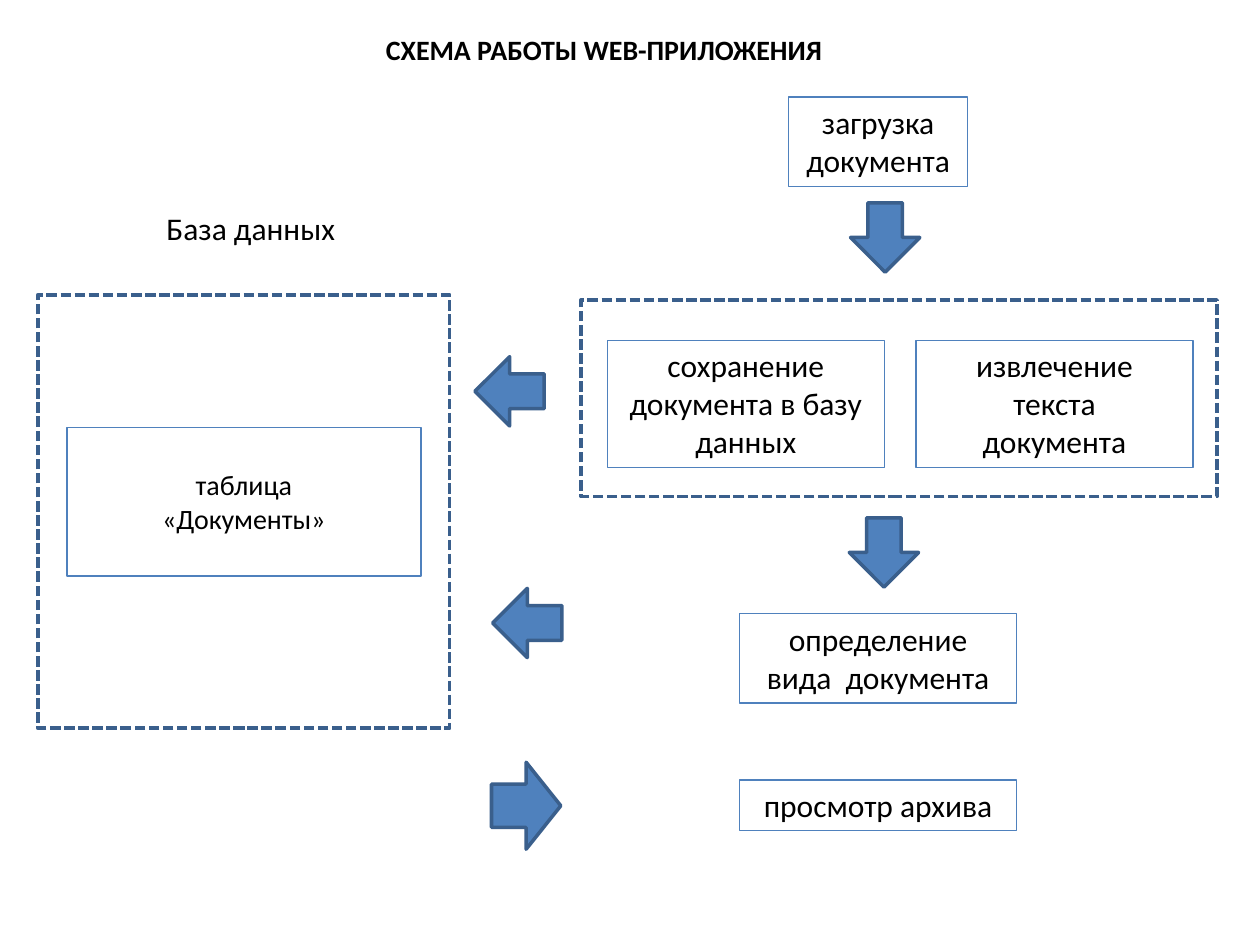
from pptx import Presentation
from pptx.dml.color import RGBColor
from pptx.enum.dml import MSO_LINE
from pptx.enum.shapes import MSO_SHAPE
from pptx.enum.text import MSO_ANCHOR, MSO_AUTO_SIZE, PP_ALIGN
from pptx.util import Pt

RECT, ARROW = MSO_SHAPE.RECTANGLE, MSO_SHAPE.DOWN_ARROW
DASH = MSO_LINE.SQUARE_DOT
CENTER, MIDDLE, TOP = PP_ALIGN.CENTER, MSO_ANCHOR.MIDDLE, MSO_ANCHOR.TOP
NO_FIT = MSO_AUTO_SIZE.NONE

BLUE = RGBColor(0x4F, 0x81, 0xBD)
NAVY = RGBColor(0x3A, 0x5F, 0x8C)
BLACK = RGBColor(0, 0, 0)

# Content: lines of text, then left, top, width, height in points
TITLE = (["СХЕМА РАБОТЫ WEB-ПРИЛОЖЕНИЯ"], (181.4, 15.1, 327.6, 26.6))
LABEL = (["База данных"], (64.1, 115.9, 158.4, 28.8))

WIDE = 158.4   # width of a step box
STEPS = [
    (["загрузка документа"], (450.7, 55.4, 102.2, 51.1)),
    (["сохранение документа в базу данных"], (347, 194.4, WIDE, 72.7)),
    (["извлечение", "текста", "документа"], (523.4, 194.4, WIDE, 72.7)),
    (["определение", "вида  документа"], (422.6, 350.6, WIDE, 51.1)),
    (["просмотр архива"], (422.6, 445.7, WIDE, 28.8)),
]
TABLE = (["таблица", "«Документы»"], (38.2, 244.1, 202.3, 85))

FRAMES = [(21.6, 168.5, 235.4, 247.7), (331.9, 171.4, 363.6, 112.3)]

# Arrows: left, top, width, rotation
SIDE = 39.6
ARROWS = [
    (486, 115.9, SIDE, 0),
    (485.3, 295.9, SIDE, 0),
    (271.4, 203.8, SIDE, 90),
    (281.5, 336.2, SIDE, 90),
    (275.8, 440.6, 49.7, 270),
]


def write(shape, lines, size=18, bold=False, anchor=TOP):
    frame = shape.text_frame
    frame.text = "\n".join(lines)
    layout = {"word_wrap": True, "auto_size": NO_FIT, "vertical_anchor": anchor}
    for name, value in layout.items():
        setattr(frame, name, value)
    style = {"name": "Calibri", "size": Pt(size), "bold": bold}
    for para in frame.paragraphs:
        para.alignment = CENTER
        font = para.runs[0].font
        for name, value in style.items():
            setattr(font, name, value)
        font.color.rgb = BLACK


def draw(kind, place, line, width, fill=None):
    shape = shapes.add_shape(kind, *map(Pt, place))
    shape.shadow.inherit = False
    if fill is None:
        shape.fill.background()
    else:
        shape.fill.solid()
        shape.fill.fore_color.rgb = fill
    shape.line.color.rgb = line
    shape.line.width = Pt(width)
    return shape


deck = Presentation()
deck.slide_width, deck.slide_height = Pt(720), Pt(540)
slide = deck.slides.add_slide(deck.slide_layouts[5])
shapes = slide.shapes

# Title
lines, place = TITLE
title = shapes.title
for name, value in zip(("left", "top", "width", "height"), place):
    setattr(title, name, Pt(value))
write(title, lines, 16, True)

# Dashed frames
for place in FRAMES:
    draw(RECT, place, NAVY, 2).line.dash_style = DASH

# Step boxes
for lines, place in STEPS:
    write(draw(RECT, place, BLUE, 0.75), lines)

# Database label and table
lines, place = LABEL
write(shapes.add_textbox(*map(Pt, place)), lines)
lines, place = TABLE
write(draw(RECT, place, BLUE, 0.75), lines, 16, anchor=MIDDLE)

# Block arrows
for left, top, width, turn in ARROWS:
    draw(ARROW, (left, top, width, SIDE), NAVY, 2, BLUE).rotation = turn

deck.save("out.pptx")
